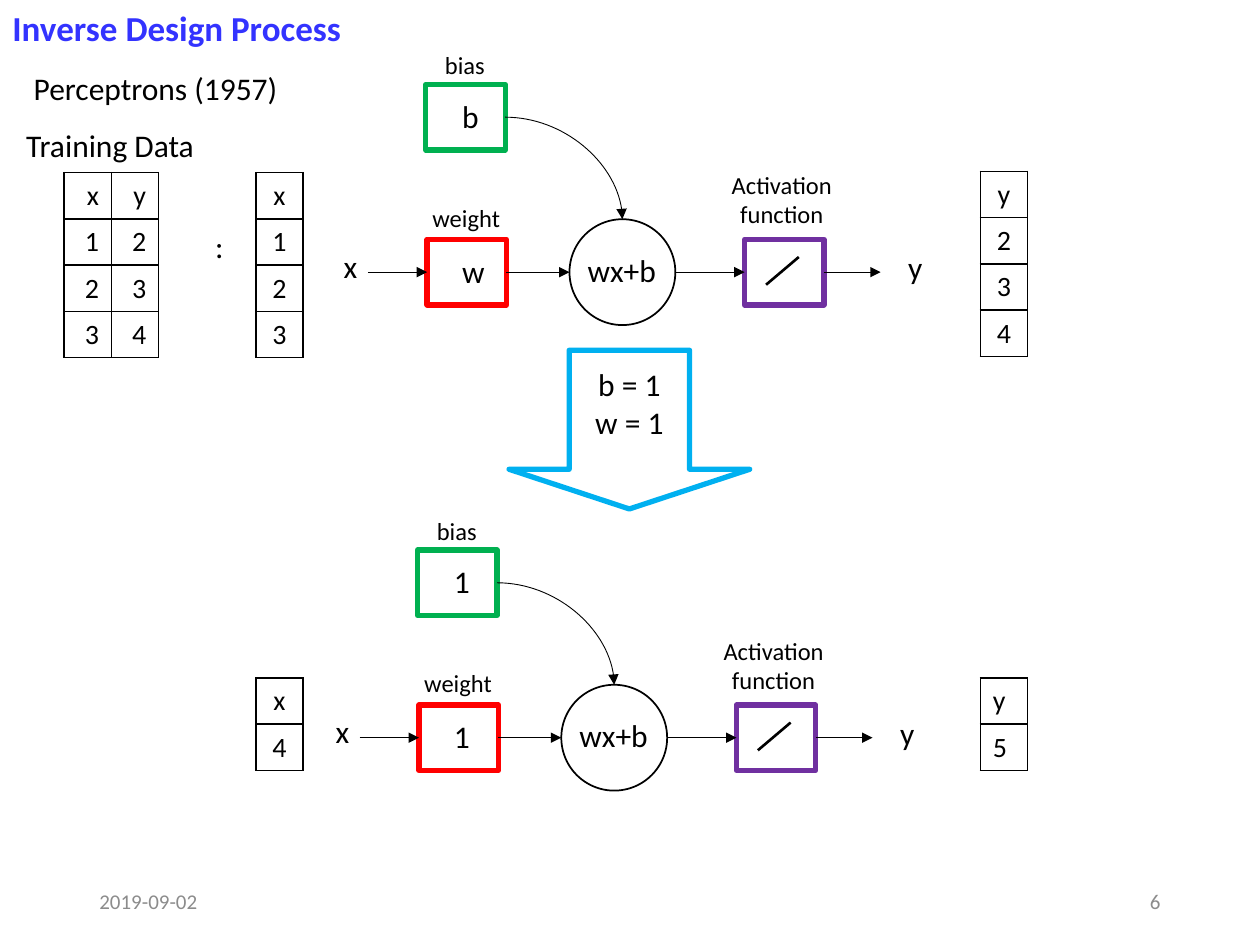
from dataclasses import dataclass

from lxml import etree
from pptx import Presentation
from pptx.dml.color import RGBColor
from pptx.enum.shapes import MSO_CONNECTOR, MSO_SHAPE
from pptx.enum.text import MSO_ANCHOR, MSO_AUTO_SIZE, PP_ALIGN
from pptx.oxml.ns import qn
from pptx.util import Emu, Inches, Pt

LEFT, CENTER, RIGHT = PP_ALIGN.LEFT, PP_ALIGN.CENTER, PP_ALIGN.RIGHT
TOP, MIDDLE = MSO_ANCHOR.TOP, MSO_ANCHOR.MIDDLE
GROW, FIXED = MSO_AUTO_SIZE.SHAPE_TO_FIT_TEXT, MSO_AUTO_SIZE.NONE
STRAIGHT, CURVE = MSO_CONNECTOR.STRAIGHT, MSO_CONNECTOR.CURVE
RECT, OVAL, DOWN_ARROW = MSO_SHAPE.RECTANGLE, MSO_SHAPE.OVAL, MSO_SHAPE.DOWN_ARROW

SLIDE_W, SLIDE_H = Inches(10), Inches(7.5)
COL, ROW = SLIDE_W / 100, SLIDE_H / 75


@dataclass(frozen=True)
class Theme:
    font: str = "Calibri"
    ink: str = "000000"
    title: str = "3333FF"
    footer: str = "8C8C8C"
    bias: str = "00B050"
    weight: str = "FF0000"
    activation: str = "7030A0"
    result: str = "00B0F0"
    title_size: float = 20
    body_size: float = 18
    cell_size: float = 16
    label_size: float = 14
    footer_size: float = 12
    frame_line: float = 3
    slope_line: float = 1.5
    thin_line: float = 1
    arrow_line: float = 0.5


THEME = Theme()


def grid(x, y, *size):
    lengths = [x * COL, y * ROW]
    if size:
        lengths += [size[0] * COL, size[1] * ROW]
    return [Emu(round(n)) for n in lengths]


def write(tf, text, size=THEME.body_size, color=THEME.ink, bold=False, align=CENTER):
    for i, line in enumerate(text.split("\n")):
        p = tf.paragraphs[0] if i == 0 else tf.add_paragraph()
        p.alignment = align
        r = p.add_run()
        r.text = line
        r.font.name = THEME.font
        r.font.size = Pt(size)
        r.font.bold = bold
        r.font.color.rgb = RGBColor.from_string(color)


def add_text(shapes, text, box, wrap=True, fit=GROW, anchor=TOP, **fmt):
    tf = shapes.add_textbox(*grid(*box)).text_frame
    tf.word_wrap = wrap
    tf.auto_size = fit
    tf.vertical_anchor = anchor
    write(tf, text, **fmt)


def add_outline(shapes, kind, box, color, width=THEME.frame_line):
    sp = shapes.add_shape(kind, *grid(*box))
    sp.shadow.inherit = False
    sp.fill.background()
    sp.line.color.rgb = RGBColor.from_string(color)
    sp.line.width = Pt(width)
    return sp


def add_line(shapes, start, end, source=None, target=None, kind=STRAIGHT,
             width=THEME.arrow_line, arrow=True):
    cxn = shapes.add_connector(kind, *grid(*start), *grid(*end))
    cxn.line.color.rgb = RGBColor.from_string(THEME.ink)
    cxn.line.width = Pt(width)
    if arrow:
        etree.SubElement(cxn.line._get_or_add_ln(), qn("a:tailEnd"), type="triangle")
    sp_pr = cxn._element.spPr
    etree.SubElement(sp_pr, qn("a:effectLst"))
    if kind == CURVE:
        sp_pr.find(qn("a:prstGeom")).set("prst", "curvedConnector2")
    if source:
        cxn.begin_connect(*source)
    if target:
        cxn.end_connect(*target)


def add_border(cell):
    tc_pr = cell._tc.get_or_add_tcPr()
    for side in ("a:lnL", "a:lnR", "a:lnT", "a:lnB"):
        ln = etree.SubElement(tc_pr, qn(side), w=str(Pt(THEME.thin_line)))
        fill = etree.SubElement(ln, qn("a:solidFill"))
        etree.SubElement(fill, qn("a:srgbClr"), val=THEME.ink)


def add_data(shapes, x, y, rows, align=CENTER):
    cell_w, cell_h = 3.75, 3.67
    n_rows, n_cols = len(rows), len(rows[0])
    box = grid(x, y, n_cols * cell_w, n_rows * cell_h)
    table = shapes.add_table(n_rows, n_cols, *box).table
    table.first_row = False
    table.horz_banding = False
    for i, values in enumerate(rows):
        for j, value in enumerate(values):
            cell = table.cell(i, j)
            add_border(cell)
            cell.fill.background()
            write(cell.text_frame, value, size=THEME.cell_size, align=align)


def add_perceptron(slide, x, y, bias, weight):
    shapes = slide.shapes.add_group_shape().shapes

    def at(dx, dy, *size):
        return (x + dx, y + dy, *size)

    frame = (6.3, 5.2)
    axis = 18.1
    bias_box = add_outline(shapes, RECT, at(7.5, 3.2, *frame), THEME.bias)
    weight_box = add_outline(shapes, RECT, at(7.6, 15.5, *frame), THEME.weight)
    activation = add_outline(shapes, RECT, at(32.8, 15.5, *frame), THEME.activation)
    neuron = add_outline(shapes, OVAL, at(18.9, 13.9, 8.4, 8.4), THEME.ink,
                         THEME.thin_line)

    add_line(shapes, at(2.9, axis), at(7.6, axis), target=(weight_box, 1))
    add_line(shapes, at(13.9, axis), at(18.9, axis), source=(weight_box, 3))
    add_line(shapes, at(27.3, axis), at(32.8, axis), target=(activation, 1))
    add_line(shapes, at(39.1, axis), at(43.6, axis), source=(activation, 3))
    add_line(shapes, at(13.8, 5.8), at(23.1, 13.9), source=(bias_box, 3),
             target=(neuron, 0), kind=CURVE)
    add_line(shapes, at(34.5, 19.1), at(37.1, 16.9), width=THEME.slope_line,
             arrow=False)

    for text, box in (
        ("x", (0, 15.6, 2.6, 4)),
        (weight, (9.4, 16, 2.6, 4)),
        ("wx+b", (19.1, 15.9, 7.9, 4)),
        ("y", (44.8, 15.7, 2.6, 4)),
        (bias, (9.4, 3.7, 2.6, 4)),
    ):
        add_text(shapes, text, at(*box))
    for text, box in (
        ("bias", (8, 0, 5.2, 3.4)),
        ("weight", (6.8, 12.1, 7.8, 3.4)),
        ("Activation\nfunction", (30.6, 9.5, 10.3, 5.7)),
    ):
        add_text(shapes, text, at(*box), size=THEME.label_size)


def add_headings(shapes):
    add_text(shapes, "Inverse Design Process", (0, 0, 28.4, 4.4), wrap=False,
             size=THEME.title_size, color=THEME.title, bold=True, align=LEFT)
    add_text(shapes, "Perceptrons (1957)", (1.6, 5, 21.5, 4))
    add_text(shapes, "Training Data", (1.1, 9.5, 15.5, 4), wrap=False, align=LEFT)
    add_text(shapes, ":", (16.1, 17.5, 2.7, 4), wrap=False, align=LEFT)


def add_result(shapes, box):
    sp = add_outline(shapes, DOWN_ARROW, box, THEME.result)
    sp.adjustments[1] = 0.25
    tf = sp.text_frame
    tf.vertical_anchor = TOP
    tf.margin_top = Emu(round(1.2 * ROW))
    write(tf, "b = 1\nw = 1")


def add_footer(shapes, y):
    for text, x, align in (("2019-09-02", 6.9, LEFT), ("6", 70.6, RIGHT)):
        add_text(shapes, text, (x, y, 22.5, 4), fit=FIXED, anchor=MIDDLE,
                 size=THEME.footer_size, color=THEME.footer, align=align)


def main():
    prs = Presentation()
    prs.slide_width, prs.slide_height = SLIDE_W, SLIDE_H
    slide = prs.slides.add_slide(prs.slide_layouts[6])
    shapes = slide.shapes

    add_headings(shapes)
    add_data(shapes, 5.1, 13.7, ["xy", "12", "23", "34"], align=RIGHT)
    add_data(shapes, 20.3, 13.7, "x123")
    add_data(shapes, 77.8, 13.6, "y234")
    add_perceptron(slide, 26.3, 3.5, bias="b", weight="w")
    add_result(shapes, (40.4, 27.8, 19.1, 12.6))
    add_perceptron(slide, 25.65, 40.45, bias="1", weight="1")
    add_data(shapes, 20.3, 53.8, "x4")
    add_data(shapes, 77.8, 53.8, "y5", align=LEFT)
    add_footer(shapes, 69.5)

    prs.save("out.pptx")


if __name__ == "__main__":
    main()
